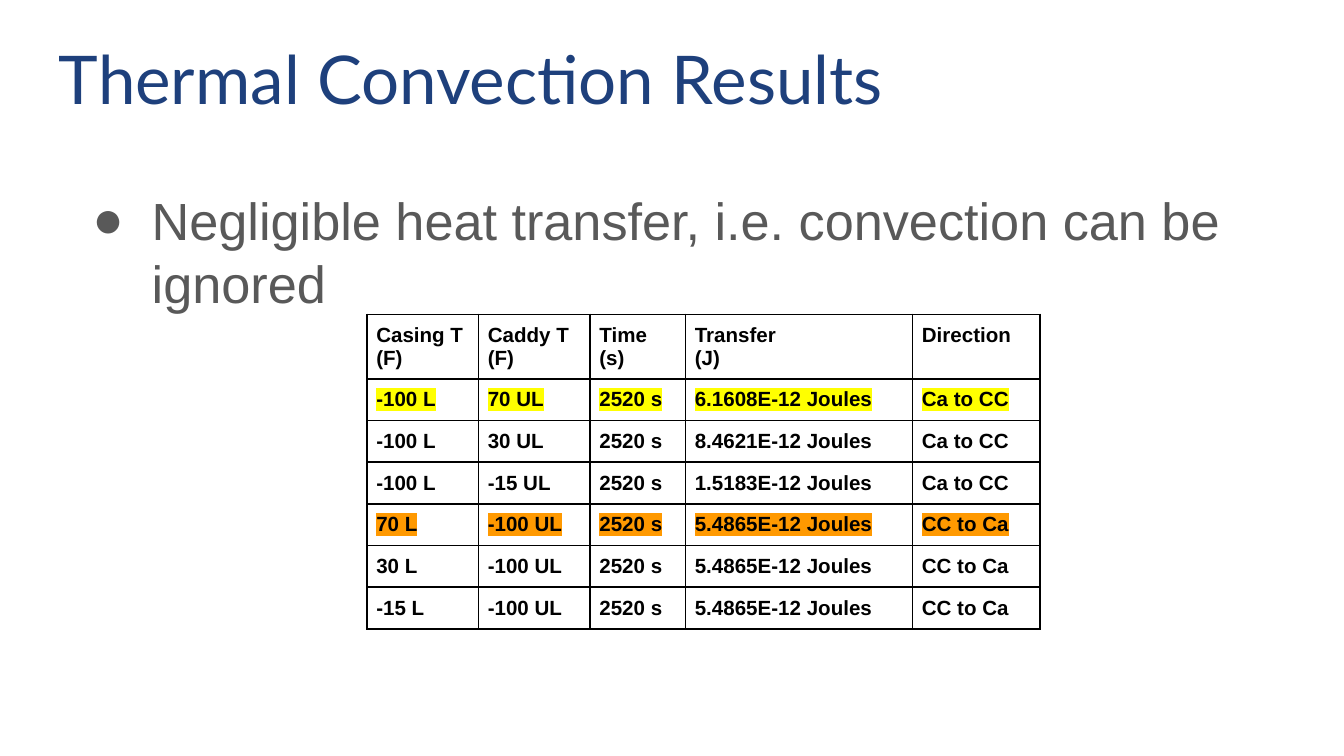
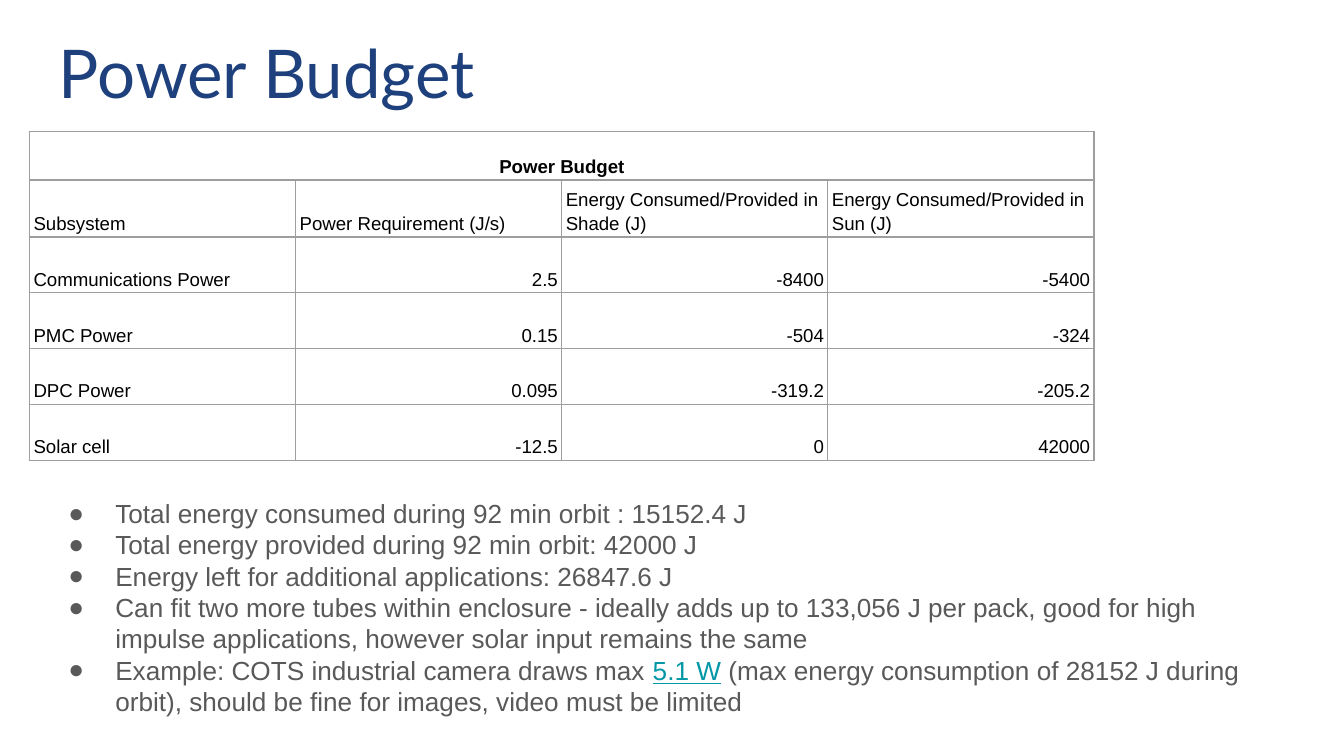
from dataclasses import dataclass

from lxml import etree
from pptx import Presentation
from pptx.dml.color import RGBColor
from pptx.enum.text import MSO_ANCHOR, PP_ALIGN
from pptx.oxml.ns import qn
from pptx.util import Inches, Pt

TOP, BOTTOM = MSO_ANCHOR.TOP, MSO_ANCHOR.BOTTOM
LEFT, CENTER, RIGHT = PP_ALIGN.LEFT, PP_ALIGN.CENTER, PP_ALIGN.RIGHT
COLORS = {
    "title": "1E407C", "body": "595959", "link": "0097A7", "cell": "000000",
    "yellow": "FFFF00", "orange": "FF9900", "grid": "9E9E9E",
}
BODY_FONT, TITLE_FONT = "Arial", "Lato"


@dataclass
class Area:
    left: float
    top: float
    width: float
    height: float

    def lengths(self) -> tuple:
        return tuple(map(Inches, (self.left, self.top, self.width, self.height)))


@dataclass
class Span:
    text: str
    color: str = "body"
    underline: bool = False


@dataclass
class TableStyle:
    size: float
    border: str
    border_width: float
    inset_x: float
    inset_y: float
    anchor: MSO_ANCHOR
    line_spacing: float


def apply(target, **values) -> None:
    for name, value in values.items():
        setattr(target, name, value)


def add_span(para, text: str, font: str, size: float, color: str, **values):
    span = para.add_run()
    span.text = text
    span.font.color.rgb = RGBColor.from_string(COLORS[color])
    apply(span.font, name=font, size=Pt(size), **values)
    return span


def add_frame(page, area: Area, anchor: MSO_ANCHOR):
    frame = page.shapes.add_textbox(*area.lengths()).text_frame
    inset = Inches(0.1)
    apply(frame, word_wrap=True, vertical_anchor=anchor, margin_left=inset,
          margin_right=inset, margin_top=inset, margin_bottom=inset)
    return frame


def add_title(page, text: str, area: Area) -> None:
    para = add_frame(page, area, BOTTOM).paragraphs[0]
    add_span(para, text, TITLE_FONT, 36, "title")


def add_bullets(page, items: list[list[Span]], area: Area, size: float,
                hanging: float) -> None:
    frame = add_frame(page, area, TOP)
    for index, spans in enumerate(items):
        para = frame.add_paragraph() if index else frame.paragraphs[0]
        props = para._p.get_or_add_pPr()
        props.set("marL", str(Inches(0.5)))
        props.set("indent", str(-Inches(hanging)))
        bullet_color = etree.SubElement(props, qn("a:buClr"))
        etree.SubElement(bullet_color, qn("a:srgbClr"), val=COLORS["body"])
        etree.SubElement(props, qn("a:buFont"), typeface=BODY_FONT)
        etree.SubElement(props, qn("a:buChar"), char="●")
        for span in spans:
            add_span(para, span.text, BODY_FONT, size, span.color,
                     underline=span.underline)


def add_borders(cell, color: str, width: float) -> None:
    props = cell._tc.get_or_add_tcPr()
    for index, side in enumerate(("lnL", "lnR", "lnT", "lnB")):
        line = etree.Element(qn(f"a:{side}"), w=str(Pt(width)))
        fill = etree.SubElement(line, qn("a:solidFill"))
        etree.SubElement(fill, qn("a:srgbClr"), val=COLORS[color])
        props.insert(index, line)


def add_highlight(span, color: str) -> None:
    highlight = etree.Element(qn("a:highlight"))
    etree.SubElement(highlight, qn("a:srgbClr"), val=COLORS[color])
    span._r.rPr.find(qn("a:solidFill")).addnext(highlight)


def add_grid(page, left: float, top: float, widths: list[float],
             heights: list[float], style: TableStyle):
    area = Area(left, top, sum(widths), sum(heights))
    table = page.shapes.add_table(len(heights), len(widths), *area.lengths()).table
    apply(table, first_row=False, horz_banding=False)
    for column, width in zip(table.columns, widths):
        column.width = Inches(width)
    for row, height in zip(table.rows, heights):
        row.height = Inches(height)
    for cell in table.iter_cells():
        apply(cell, vertical_anchor=style.anchor,
              margin_left=Inches(style.inset_x), margin_right=Inches(style.inset_x),
              margin_top=Inches(style.inset_y), margin_bottom=Inches(style.inset_y))
        cell.fill.background()
        add_borders(cell, style.border, style.border_width)
    return table


def fill_cell(cell, text: str, style: TableStyle, bold: bool,
              align: PP_ALIGN = LEFT, highlight: str = "") -> None:
    frame = cell.text_frame
    for index, line in enumerate(text.split("\n")):
        para = frame.add_paragraph() if index else frame.paragraphs[0]
        apply(para, alignment=align, line_spacing=style.line_spacing)
        span = add_span(para, line, BODY_FONT, style.size, "cell", bold=bold)
        if highlight:
            add_highlight(span, highlight)


# Thermal convection: table content
CONVECTION_STYLE = TableStyle(11, "cell", 1, 0.07, 0.07, TOP, 1.0)
CONVECTION_ROWS = [
    ("Casing T\n(F)", "Caddy T\n(F)", "Time\n(s)", "Transfer\n(J)", "Direction"),
    ("-100 L", "70 UL", "2520 s", "6.1608E-12 Joules", "Ca to CC"),
    ("-100 L", "30 UL", "2520 s", "8.4621E-12 Joules", "Ca to CC"),
    ("-100 L", "-15 UL", "2520 s", "1.5183E-12 Joules", "Ca to CC"),
    ("70 L", "-100 UL", "2520 s", "5.4865E-12 Joules", "CC to Ca"),
    ("30 L", "-100 UL", "2520 s", "5.4865E-12 Joules", "CC to Ca"),
    ("-15 L", "-100 UL", "2520 s", "5.4865E-12 Joules", "CC to Ca"),
]
HIGHLIGHTED_ROWS = {1: "yellow", 4: "orange"}

# Power budget: table and bullet content
BUDGET_STYLE = TableStyle(10, "grid", 0.75, 0.03, 0.02, BOTTOM, 1.15)
BUDGET_ROWS = [
    ("Power Budget",),
    ("Subsystem", "Power Requirement (J/s)", "Energy Consumed/Provided in Shade (J)",
     "Energy Consumed/Provided in Sun (J)"),
    ("Communications Power", "2.5", "-8400", "-5400"),
    ("PMC Power", "0.15", "-504", "-324"),
    ("DPC Power", "0.095", "-319.2", "-205.2"),
    ("Solar cell", "-12.5", "0", "42000"),
]
BUDGET_BULLETS = [
    [Span("Total energy consumed during 92 min orbit : 15152.4 J")],
    [Span("Total energy provided during 92 min orbit: 42000 J")],
    [Span("Energy left for additional applications: 26847.6 J")],
    [Span("Can fit two more tubes within enclosure - ideally adds up to 133,056 J "
          "per pack, good for high impulse applications, however solar input "
          "remains the same")],
    [Span("Example: COTS industrial camera draws max "),
     Span("5.1 W", "link", True),
     Span(" (max energy consumption of 28152 J during orbit), should be fine for "
          "images, video must be limited")],
]


def build_convection(page) -> None:
    table = add_grid(page, 2.73, 2.34, [0.83, 0.83, 0.71, 1.69, 0.95],
                     [0.48] + [0.31] * 6, CONVECTION_STYLE)
    for row, texts in enumerate(CONVECTION_ROWS):
        for column, text in enumerate(texts):
            fill_cell(table.cell(row, column), text, CONVECTION_STYLE, True,
                      highlight=HIGHLIGHTED_ROWS.get(row, ""))
    message = Span("Negligible heat transfer, i.e. convection can be ignored")
    add_bullets(page, [[message]], Area(0.53, 1.3, 8.99, 1.34), 28, 0.44)
    add_title(page, "Thermal Convection Results", Area(0.34, 0.15, 8.75, 0.83))


def build_budget(page) -> None:
    add_title(page, "Power Budget", Area(0.34, 0.24, 8.75, 0.69))
    table = add_grid(page, 0.22, 0.98, [1.98] * 4, [0.36] + [2.08 / 5] * 5,
                     BUDGET_STYLE)
    table.cell(0, 0).merge(table.cell(0, 3))
    for row, texts in enumerate(BUDGET_ROWS):
        for column, text in enumerate(texts):
            is_number = row > 1 and column > 0
            align = CENTER if row == 0 else RIGHT if is_number else LEFT
            fill_cell(table.cell(row, column), text, BUDGET_STYLE, row == 0, align)
    add_bullets(page, BUDGET_BULLETS, Area(0.26, 3.6, 9.43, 1.82), 14, 0.35)


def main() -> None:
    deck = Presentation()
    # Widescreen page, 16:9
    width = Inches(10)
    apply(deck, slide_width=width, slide_height=width * 9 // 16)
    blank = deck.slide_layouts[6]
    for build in (build_convection, build_budget):
        build(deck.slides.add_slide(blank))
    deck.save("out.pptx")


if __name__ == "__main__":
    main()
